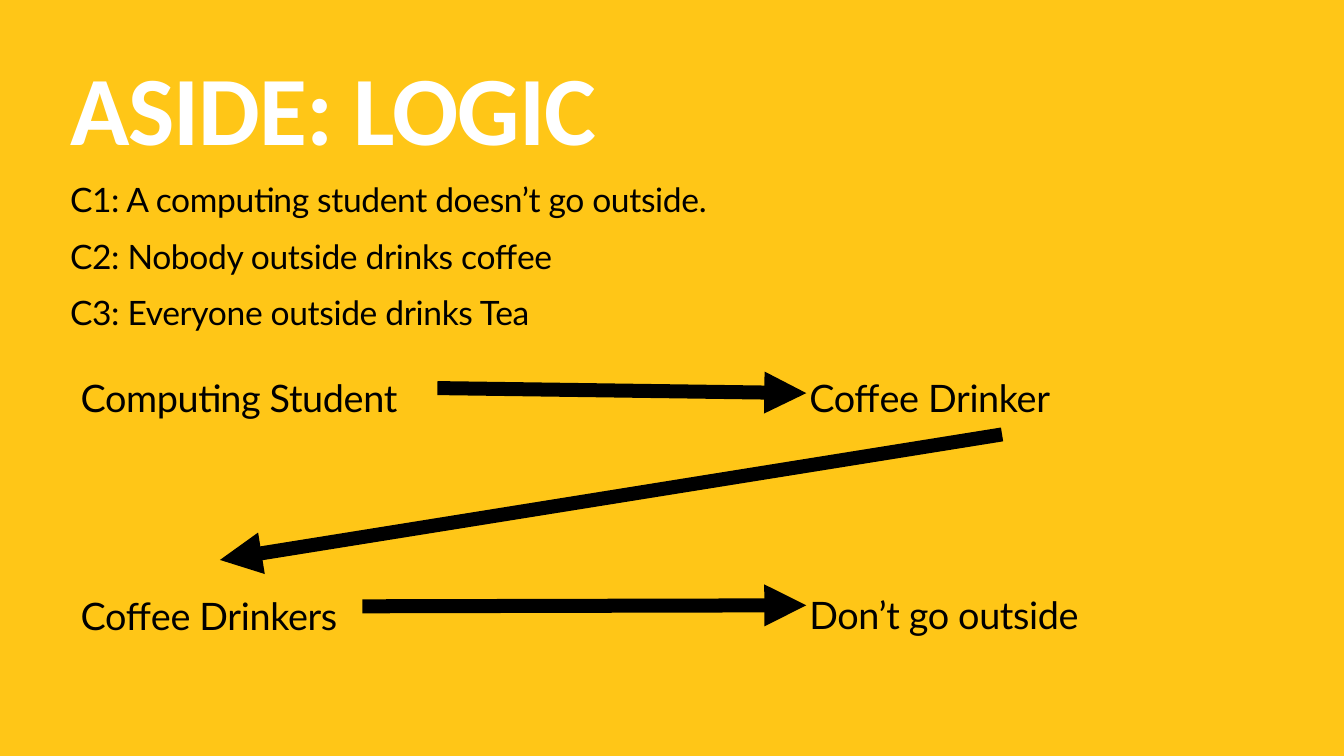
from dataclasses import dataclass

from lxml import etree
from pptx import Presentation
from pptx.dml.color import RGBColor
from pptx.enum.shapes import MSO_CONNECTOR
from pptx.enum.text import MSO_ANCHOR, MSO_AUTO_SIZE, PP_ALIGN
from pptx.oxml.ns import qn
from pptx.util import Inches, Pt

STRAIGHT = MSO_CONNECTOR.STRAIGHT
TOP, MIDDLE = MSO_ANCHOR.TOP, MSO_ANCHOR.MIDDLE
NO_FIT = MSO_AUTO_SIZE.NONE
LEFT = PP_ALIGN.LEFT
SITE_TOP, SITE_LEFT, SITE_BOTTOM, SITE_RIGHT = range(4)


@dataclass(frozen=True)
class Theme:
    """Colours, fonts and sizes of the deck."""
    background: RGBColor = RGBColor(0xFF, 0xC6, 0x17)
    heading: RGBColor = RGBColor(0xFF, 0xFF, 0xFF)
    ink: RGBColor = RGBColor(0, 0, 0)
    heading_font: str = "Calibri"
    text_font: str = "Lato"
    title_size: float = 140
    body_size: float = 48
    label_size: float = 54
    arrow_width: float = 20
    inset: float = 0.06


THEME = Theme()


def place(shape, left, top, width, height):
    """Set the position and size of a shape in inches."""
    shape.left, shape.top = Inches(left), Inches(top)
    shape.width, shape.height = Inches(width), Inches(height)


def write(box, lines, size, font=THEME.text_font, color=THEME.ink, bold=False,
          tracking=-0.5, spacing=1.4, anchor=TOP):
    """Fill a box with one formatted paragraph per line."""
    frame = box.text_frame
    frame.word_wrap = True
    frame.auto_size = NO_FIT
    frame.vertical_anchor = anchor
    frame.margin_left = frame.margin_right = Inches(THEME.inset)
    frame.margin_top = frame.margin_bottom = Inches(THEME.inset)
    frame.text = "\n".join(lines)
    for para in frame.paragraphs:
        para.alignment = LEFT
        para.line_spacing = spacing
        para.space_before = para.space_after = Pt(0)
        for span in para.runs:
            span.font.name = font
            span.font.size = Pt(size)
            span.font.bold = bold
            span.font.color.rgb = color
            span._r.get_or_add_rPr().set("spc", str(round(tracking * 100)))


def remove_bullets(box):
    """Turn off bullets and hanging indents in a box."""
    for para in box.text_frame.paragraphs:
        properties = para._p.get_or_add_pPr()
        properties.set("marL", "0")
        properties.set("indent", "0")
        etree.SubElement(properties, qn("a:buNone"))


def add_label(page, text, left, top, width):
    """Add a vertically centred diagram label."""
    box = page.shapes.add_textbox(0, 0, 0, 0)
    place(box, left, top, width, 1.84)
    write(box, [text], THEME.label_size, anchor=MIDDLE)
    return box


def add_arrow(page, source, source_site, target=None, target_site=None, end=(0, 0)):
    """Draw an arrow from a label to another label or to a free end in inches."""
    end_x, end_y = map(Inches, end)
    arrow = page.shapes.add_connector(STRAIGHT, 0, 0, end_x, end_y)
    arrow.begin_connect(source, source_site)
    if target is not None:
        arrow.end_connect(target, target_site)
    arrow.line.color.rgb = THEME.ink
    arrow.line.width = Pt(THEME.arrow_width)
    etree.SubElement(arrow.line._get_or_add_ln(), qn("a:tailEnd"), type="triangle")
    etree.SubElement(arrow._element.spPr, qn("a:effectLst"))


def main():
    """Build the logic slide and save it."""
    deck = Presentation()
    deck.slide_width, deck.slide_height = Inches(26.67), Inches(15)
    page = deck.slides.add_slide(deck.slide_layouts[1])
    page.background.fill.solid()
    page.background.fill.fore_color.rgb = THEME.background

    title, body = page.shapes.title, page.placeholders[1]
    place(title, 1.33, 1.33, 24, 2.51)
    write(title, ["ASIDE: LOGIC"], THEME.title_size, font=THEME.heading_font,
          color=THEME.heading, bold=True, tracking=-1.4, spacing=0.8)
    place(body, 1.33, 3.18, 24, 10.48)
    write(body, ["C1: A computing student doesn’t go outside.",
                 "C2: Nobody outside drinks coffee",
                 "C3: Everyone outside drinks Tea"], THEME.body_size)
    remove_bullets(body)

    student = add_label(page, "Computing Student", 1.54, 6.78, 7.14)
    drinkers = add_label(page, "Coffee Drinkers", 1.54, 11.11, 5.65)
    drinker = add_label(page, "Coffee Drinker", 16, 6.78, 7.77)
    indoors = add_label(page, "Don’t go outside", 16, 11.09, 7.77)

    add_arrow(page, student, SITE_RIGHT, end=(16, 7.8))
    add_arrow(page, drinkers, SITE_RIGHT, indoors, SITE_LEFT)
    add_arrow(page, drinker, SITE_BOTTOM, drinkers, SITE_TOP)
    deck.save("out.pptx")


if __name__ == "__main__":
    main()
